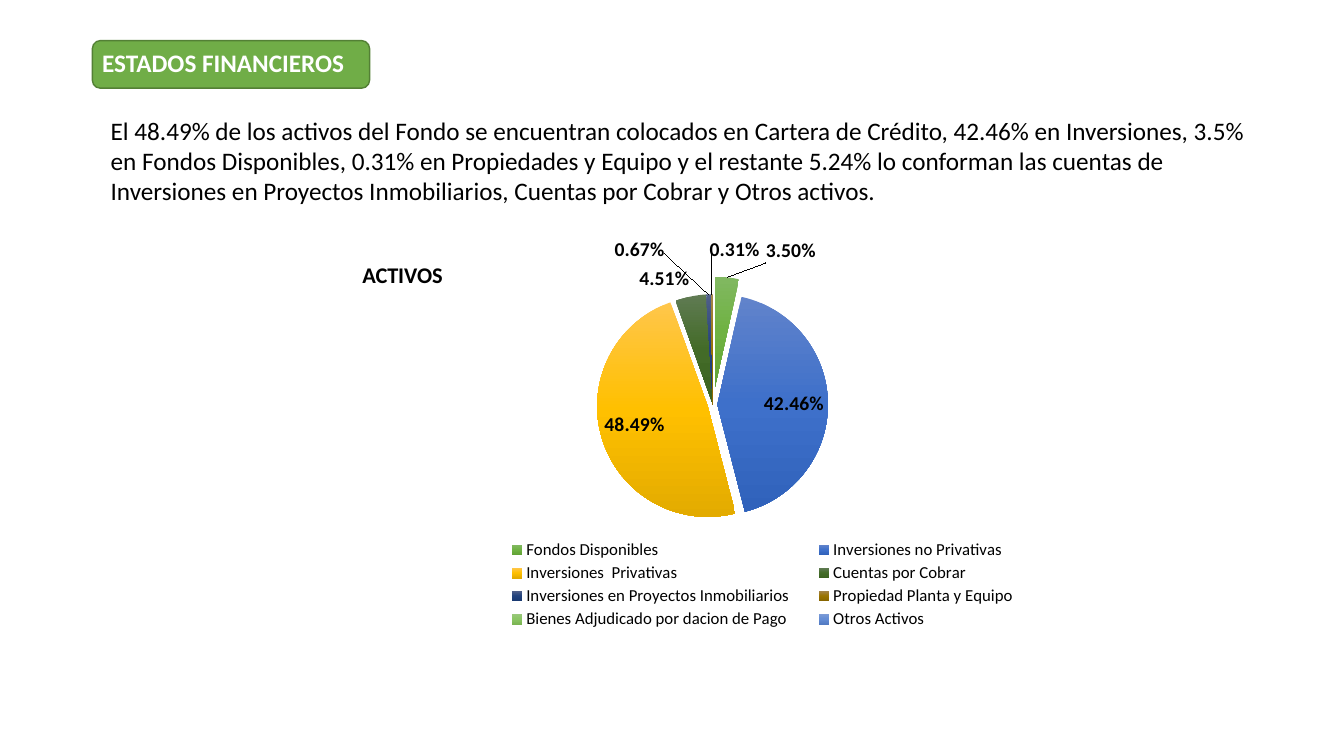
from copy import deepcopy

from pptx import Presentation
from pptx.chart.data import CategoryChartData
from pptx.dml.color import RGBColor
from pptx.enum.chart import XL_CHART_TYPE, XL_LABEL_POSITION, XL_LEGEND_POSITION
from pptx.enum.shapes import MSO_SHAPE
from pptx.enum.text import MSO_ANCHOR, PP_ALIGN
from pptx.oxml import parse_xml
from pptx.oxml.ns import nsdecls
from pptx.util import Pt

FONT = "Calibri"
BLACK = RGBColor(0, 0, 0)
WHITE = RGBColor(255, 255, 255)
GREEN = RGBColor(0x70, 0xAD, 0x47)
DARK_GREEN = RGBColor(0x53, 0x80, 0x35)

HEADING = "ESTADOS FINANCIEROS"
SUMMARY = (
    "El 48.49% de los activos del Fondo se encuentran colocados en Cartera de Crédito, "
    "42.46% en Inversiones, 3.5% en Fondos Disponibles, 0.31% en Propiedades y Equipo "
    "y el restante 5.24% lo conforman las cuentas de Inversiones en Proyectos "
    "Inmobiliarios, Cuentas por Cobrar y Otros activos."
)
CHART_TITLE = "ACTIVOS"
PERCENT = "0.00%"

ASSETS = [
    ("Fondos Disponibles", 0.035, 16, ("81B861", "6FB242", "62A336")),
    ("Inversiones no Privativas", 0.4246, 4, ("6183CB", "3E70CA", "3062BB")),
    ("Inversiones  Privativas", 0.4849, 5, ("FFC64B", "FFC000", "E3AB00")),
    ("Cuentas por Cobrar", 0.0451, 0, ("607B53", "436B28", "3B6220")),
    ("Inversiones en Proyectos Inmobiliarios", 0.0067, 0, ("516089", "22427D", "1A3A72")),
    ("Propiedad Planta y Equipo", 0.0031, 0, ("A4844B", "997300", "886600")),
    ("Bienes Adjudicado por dacion de Pago", None, 0, ("99C87B", "8BC664", "7BB553")),
    ("Otros Activos", None, 0, ("7C9BD6", "648DD5", "537BC3")),
]
LABEL_SHIFTS = {0: (0.05, -0.02), 4: (-0.09, -0.08), 5: (0.03, -0.08)}


def style(font, size, color, bold=False):
    font.name = FONT
    font.size = Pt(size)
    font.bold = bold
    font.color.rgb = color


def add_run(p, text, size, color, bold=False):
    r = p.add_run()
    r.text = text
    style(r.font, size, color, bold)


def layout_xml(x, y, w=None, h=None, inner=False, edge=True):
    parts = '<c:layoutTarget val="inner"/>' if inner else ""
    if edge:
        parts += '<c:xMode val="edge"/><c:yMode val="edge"/>'
    for tag, value in (("x", x), ("y", y), ("w", w), ("h", h)):
        if value is not None:
            parts += f'<c:{tag} val="{value}"/>'
    return parse_xml(
        f'<c:layout {nsdecls("c")}><c:manualLayout>{parts}</c:manualLayout></c:layout>'
    )


def set_layout(parent, after, layout):
    for old in parent.xpath("c:layout"):
        parent.remove(old)
    if after is None:
        parent.insert(0, layout)
    else:
        after.addnext(layout)


def add_heading(s):
    sp = s.shapes.add_shape(MSO_SHAPE.ROUNDED_RECTANGLE, Pt(66), Pt(29), Pt(198), Pt(34))
    sp.shadow.inherit = False
    sp.fill.solid()
    sp.fill.fore_color.rgb = GREEN
    sp.line.color.rgb = DARK_GREEN
    sp.line.width = Pt(1)
    title = s.shapes.title
    sp.element.addnext(title.element)
    title.left, title.top, title.width, title.height = Pt(68), Pt(30.5), Pt(194), Pt(31)
    tf = title.text_frame
    tf.word_wrap = True
    tf.vertical_anchor = MSO_ANCHOR.MIDDLE
    tf.margin_left = tf.margin_right = tf.margin_top = tf.margin_bottom = Pt(5)
    p = tf.paragraphs[0]
    p.alignment = PP_ALIGN.LEFT
    p.line_spacing = 0.9
    add_run(p, HEADING, 18, WHITE, True)


def add_summary(s):
    tf = s.shapes.add_textbox(Pt(72), Pt(78.5), Pt(831), Pt(73)).text_frame
    tf.word_wrap = True
    add_run(tf.paragraphs[0], SUMMARY, 18, BLACK)


def format_slice(series, index, explosion, colors):
    fill = series.points[index].format.fill
    fill.gradient()
    fill.gradient_angle = 270
    dpt = series._element.xpath(f"c:dPt[c:idx/@val='{index}']")[0]
    stops = dpt.xpath(".//a:gsLst")[0]
    stops.insert(1, deepcopy(stops[0]))
    for stop, position, color in zip(fill.gradient_stops, (0, 0.5, 1), colors):
        stop.position = position
        stop.color.rgb = RGBColor.from_string(color)
    if explosion:
        dpt.xpath("c:spPr")[0].addprevious(
            parse_xml(f'<c:explosion {nsdecls("c")} val="{explosion}"/>')
        )


def shift_label(series, index, shift):
    label = series.points[index].data_label
    style(label.font, 14, BLACK, True)
    label.position = XL_LABEL_POSITION.BEST_FIT
    dlbl = series._element.xpath(f"c:dLbls/c:dLbl[c:idx/@val='{index}']")[0]
    idx = dlbl.xpath("c:idx")[0]
    idx.addnext(parse_xml(
        f'<c:numFmt {nsdecls("c")} formatCode="{PERCENT}" sourceLinked="0"/>'
    ))
    set_layout(dlbl, idx, layout_xml(*shift, edge=False))


def add_assets_chart(s):
    data = CategoryChartData(number_format=PERCENT)
    data.categories = [name for name, *_ in ASSETS]
    data.add_series("Series 1", [value for _, value, *_ in ASSETS])
    chart = s.shapes.add_chart(
        XL_CHART_TYPE.PIE, Pt(245), Pt(170), Pt(545), Pt(309.5), data
    ).chart
    style(chart.font, 10, BLACK)

    chart.has_title = True
    add_run(chart.chart_title.text_frame.paragraphs[0], CHART_TITLE, 16, BLACK, True)
    chart.chart_title.include_in_layout = False
    title = chart.chart_title._element
    set_layout(title, title.xpath("c:tx")[0], layout_xml(0.02, 0.04))

    chart.has_legend = True
    legend = chart.legend
    legend.position = XL_LEGEND_POSITION.BOTTOM
    legend.include_in_layout = False
    style(legend.font, 12, BLACK)
    set_layout(legend._element, legend._element.xpath("c:legendPos")[0],
               layout_xml(0.19, 0.69, 0.72, 0.22))

    plot = chart.plots[0]
    plot.vary_by_categories = True
    set_layout(plot._element.getparent(), None,
               layout_xml(0.07, 0.13, 0.83, 0.51, inner=True))
    series = plot.series[0]
    for index, (_, _, explosion, colors) in enumerate(ASSETS):
        format_slice(series, index, explosion, colors)

    labels = series.data_labels
    labels.show_value = True
    labels.number_format = PERCENT
    labels.number_format_is_linked = False
    labels.position = XL_LABEL_POSITION.BEST_FIT
    style(labels.font, 14, BLACK, True)
    for index, shift in LABEL_SHIFTS.items():
        shift_label(series, index, shift)


def main():
    prs = Presentation()
    prs.slide_width, prs.slide_height = Pt(960), Pt(540)
    s = prs.slides.add_slide(prs.slide_layouts[5])
    add_heading(s)
    add_summary(s)
    add_assets_chart(s)
    prs.save("out.pptx")


if __name__ == "__main__":
    main()
